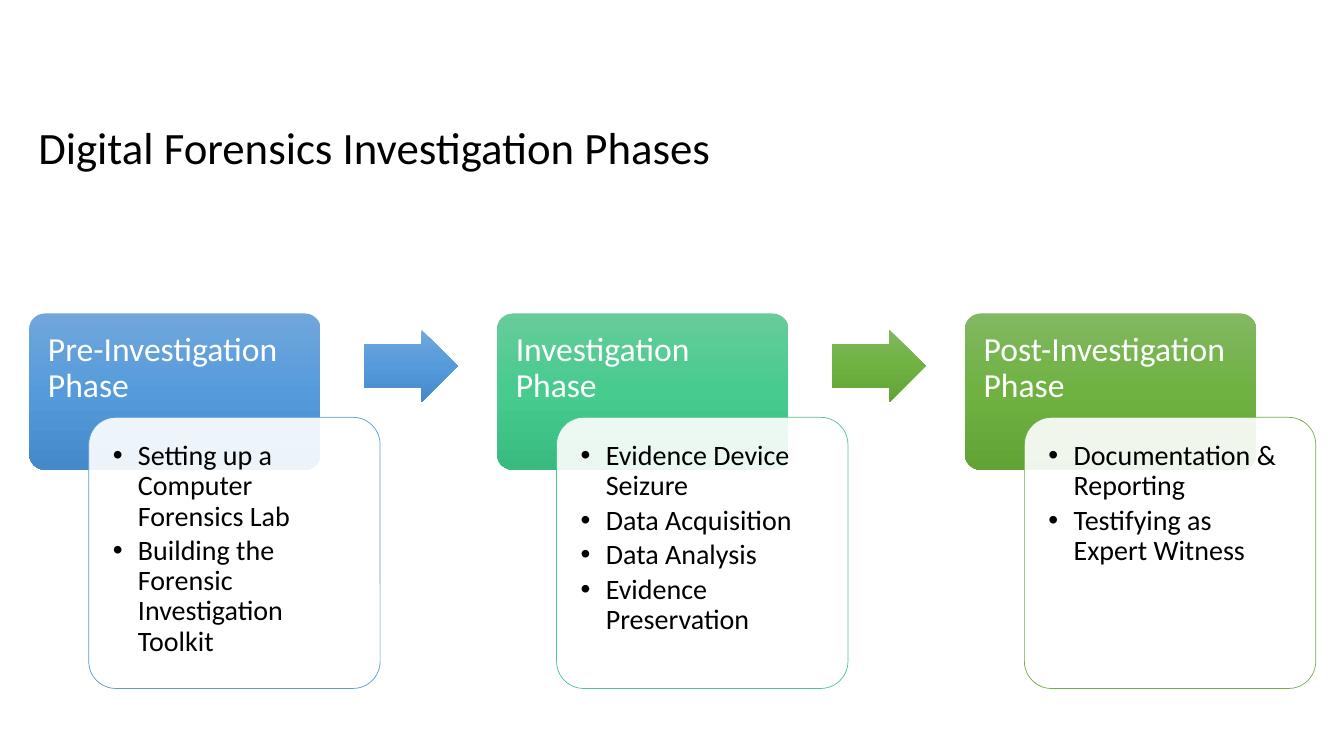
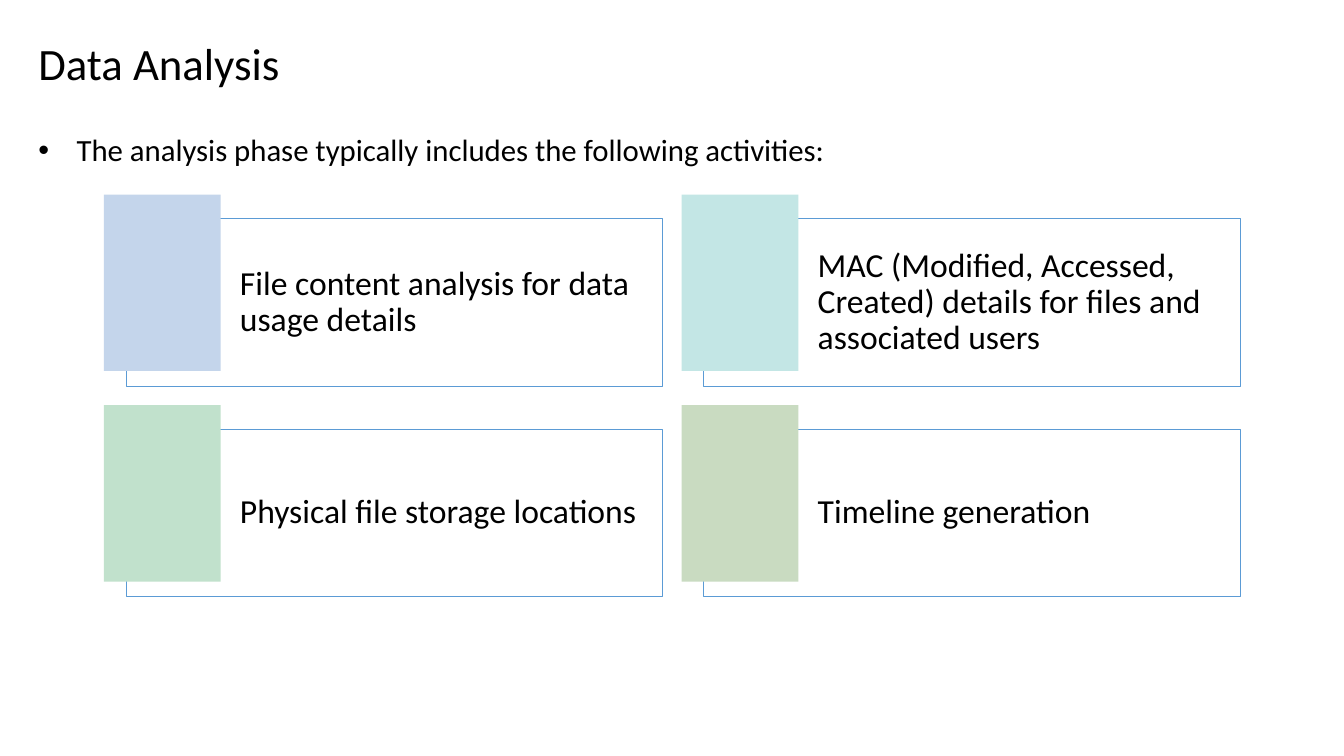
from copy import deepcopy

from lxml.etree import SubElement
from pptx import Presentation
from pptx.dml.color import RGBColor
from pptx.enum.shapes import MSO_SHAPE
from pptx.enum.text import MSO_ANCHOR, MSO_AUTO_SIZE, PP_ALIGN
from pptx.oxml.ns import qn
from pptx.util import Pt

SCALE = 9144  # EMU in one px, 100 px to the inch
BLACK, WHITE, BLUE = "000000", "FFFFFF", "5B9BD5"


def px(num):
    return num * SCALE


def tint(code):
    return RGBColor.from_string(code)


def put(item, **vals):
    """Set each format value on the item."""
    for name, val in vals.items():
        setattr(item, name, val)


class Deck:
    face = "Calibri"
    wide, high = 1333, 750

    def __init__(self):
        self.prs = Presentation()
        put(self.prs, slide_width=px(self.wide), slide_height=px(self.high))
        self.slide = None

    def page(self, text, top, kind):
        """Start a slide with its title."""
        self.slide = self.prs.slides.add_slide(self.prs.slide_layouts[kind])
        title = self.slide.shapes.title
        self.place(title, 28, top, 1277, 125)
        self.label(title, [text], 32, pads=(10, 5, 10, 5),
                   anchor=MSO_ANCHOR.MIDDLE)

    def place(self, item, *box):
        put(item, **dict(zip(("left", "top", "width", "height"), map(px, box))))

    def label(self, item, lines, size, color=BLACK, pads=(10, 10, 10, 10),
              anchor=MSO_ANCHOR.TOP, mark=0, **form):
        """Fill a shape with paragraphs; mark is the bullet indent."""
        frame = item.text_frame
        sides = ("left", "top", "right", "bottom")
        put(frame, word_wrap=True, auto_size=MSO_AUTO_SIZE.NONE,
            vertical_anchor=anchor,
            **{f"margin_{side}": px(pad) for side, pad in zip(sides, pads)})
        form = {"alignment": PP_ALIGN.LEFT, "space_before": Pt(0), **form}
        for pos, line in enumerate(lines):
            para = frame.add_paragraph() if pos else frame.paragraphs[0]
            if mark:
                self.dot(para, mark)
            put(para, **form)
            run = para.add_run()
            run.text = line
            put(run.font, name=self.face, size=Pt(size), bold=False)
            run.font.color.rgb = tint(color)

    def dot(self, para, mark):
        props = para._p.get_or_add_pPr()
        props.set("marL", str(px(mark)))
        props.set("indent", str(-px(mark)))
        SubElement(props, qn("a:buFont"), typeface="Arial")
        SubElement(props, qn("a:buChar"), char="•")

    def shape(self, kind, box, fill, line=None, clear=100, adj=()):
        """Draw a preset; a tuple of colours makes a vertical blend."""
        item = self.slide.shapes.add_shape(kind, *map(px, box))
        item.shadow.inherit = False
        for pos, val in enumerate(adj):
            item.adjustments[pos] = val
        if isinstance(fill, tuple):
            self.blend(item, fill)
        else:
            item.fill.solid()
            item.fill.fore_color.rgb = tint(fill)
            if clear < 100:
                tone = item._element.spPr.find(".//" + qn("a:srgbClr"))
                SubElement(tone, qn("a:alpha"), val=str(clear * 1000))
        if line:
            item.line.color.rgb = tint(line)
            item.line.width = Pt(0.5)
        else:
            item.line.fill.background()
        return item

    def blend(self, item, tones):
        item.fill.gradient()
        item.fill.gradient_angle = 270
        stops = item._element.spPr.find(".//" + qn("a:gsLst"))
        while len(stops) < len(tones):
            stops.append(deepcopy(stops[0]))
        for pos, stop in enumerate(item.fill.gradient_stops):
            stop.color.rgb = tint(tones[pos])
            stop.position = pos / (len(tones) - 1)

    def phase(self, left, head, items, tones, edge):
        """Header card with an overlapping list card."""
        card = self.shape(MSO_SHAPE.ROUNDED_RECTANGLE, (left, 311, 289, 155),
                          tones, adj=(0.1,))
        self.label(card, [head], 24, WHITE, (14, 14, 14, 10),
                   line_spacing=0.9)
        body = self.shape(MSO_SHAPE.ROUNDED_RECTANGLE,
                          (left + 59, 414, 289, 269), WHITE, edge, 90, (0.1,))
        self.label(body, items, 20, pads=(16, 16, 16, 16), mark=25,
                   line_spacing=0.9, space_after=Pt(3))

    def arrow(self, left, tones):
        self.shape(MSO_SHAPE.RIGHT_ARROW, (left, 327, 93, 72), tones,
                   adj=(0.6, 0.5))

    def panel(self, left, top, text, color):
        """Outlined text panel with a colour block on its corner."""
        card = self.shape(MSO_SHAPE.RECTANGLE, (left + 22, top + 24, 532, 166),
                          WHITE, BLUE, 40)
        self.label(card, [text], 24, pads=(113, 10, 10, 10),
                   anchor=MSO_ANCHOR.MIDDLE, line_spacing=0.9)
        self.shape(MSO_SHAPE.RECTANGLE, (left, top, 116, 175), color)


SKY = ("71A6DB", "559BDB", "448ACA")
MINT = ("67CC9A", "47CB8E", "39BB7F")
LEAF = ("81B861", "6FB242", "62A336")

PHASES = [
    ("Pre-Investigation Phase",
     ["Setting up a Computer Forensics Lab",
      "Building the Forensic Investigation Toolkit"], SKY, BLUE),
    ("Investigation Phase",
     ["Evidence Device Seizure", "Data Acquisition", "Data Analysis",
      "Evidence Preservation"], MINT, "4DC58D"),
    ("Post-Investigation Phase",
     ["Documentation & Reporting", "Testifying as Expert Witness"],
     LEAF, "70AD47"),
]

PANELS = [
    ("File content analysis for data usage details", "C4D5EB"),
    ("MAC (Modified, Accessed, Created) details for files and associated users",
     "C3E6E5"),
    ("Physical file storage locations", "C1E1CC"),
    ("Timeline generation", "C9DBC1"),
]


def main():
    deck = Deck()

    # Phases in a row, joined by arrows
    deck.page("Digital Forensics Investigation Phases", 83, 5)
    step = 464
    for pos, phase in enumerate(PHASES):
        deck.phase(29 + pos * step, *phase)
    for pos, tones in enumerate((SKY, LEAF)):
        deck.arrow(361 + pos * step, tones)

    # Activities in a grid of two by two
    deck.page("Data Analysis", 0, 1)
    body = deck.slide.placeholders[1]
    deck.place(body, 28, 125, 1277, 535)
    deck.label(body,
               ["The analysis phase typically includes the following activities:"],
               22, pads=(10, 5, 10, 5), mark=38,
               alignment=PP_ALIGN.JUSTIFY, space_after=Pt(12))
    for pos, panel in enumerate(PANELS):
        row, col = divmod(pos, 2)
        deck.panel(103 + col * 573, 193 + row * 209, *panel)

    deck.prs.save("out.pptx")


if __name__ == "__main__":
    main()
